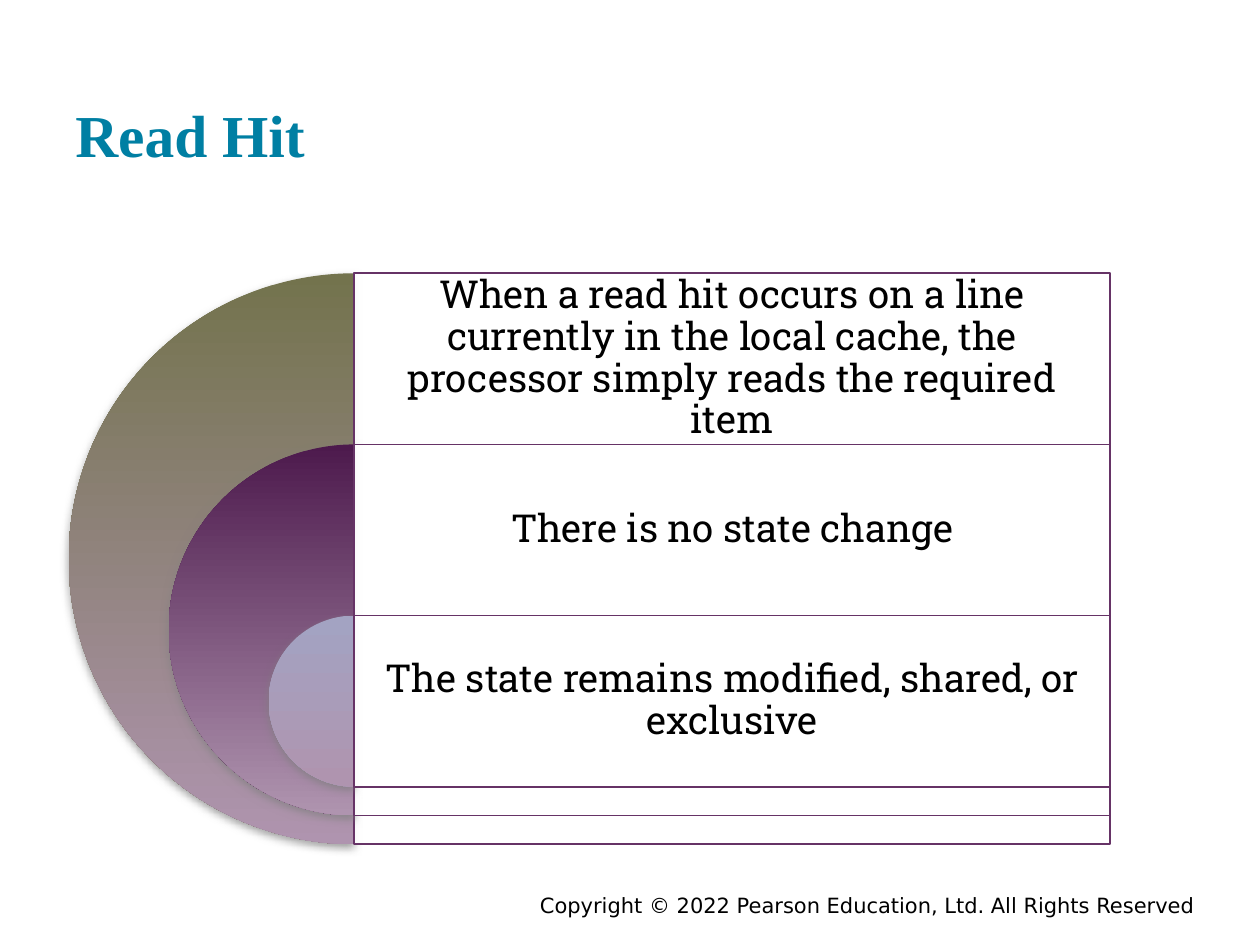
from lxml import etree
from pptx import Presentation
from pptx import util as u
from pptx.dml.color import RGBColor
from pptx.enum import shapes, text
from pptx.oxml.ns import qn


def color(value):
    return RGBColor.from_string(value)


def add_text(parent, frame, words, font, size, ink, align, anchor, inset):
    box = parent.add_textbox(*[u.Cm(length) for length in frame])
    body = box.text_frame
    body.word_wrap = True
    body.vertical_anchor = anchor
    body.margin_left = body.margin_right = u.Cm(inset[0])
    body.margin_top = body.margin_bottom = u.Cm(inset[1])
    para = body.paragraphs[0]
    para.text = words
    para.alignment = align
    para.font.name = font
    para.font.size = u.Pt(size)
    para.font.color.rgb = color(ink)
    return para


deck = Presentation()
deck.slide_width = u.Cm(25.4)
deck.slide_height = u.Cm(19.05)
page = deck.slides.add_slide(deck.slide_layouts[6])

add_text(page.shapes, (4.45, 17.86, 19.89, 0.56),
         "Copyright © 2022 Pearson Education, Ltd. All Rights Reserved",
         "DejaVu Sans", 12, "000000", text.PP_ALIGN.RIGHT, text.MSO_ANCHOR.TOP, (0.25, 0.13))
title = add_text(page.shapes, (1.27, 0.61, 22.86, 3.05), "Read Hit",
                 "Times New Roman", 34, "007FA3", text.PP_ALIGN.LEFT,
                 text.MSO_ANCHOR.BOTTOM, (0.25, 0.25))
title.font.bold = True

levels = [
    ("73734D", "When a read hit occurs on a line currently in the local cache, "
               "the processor simply reads the required item"),
    ("4D1A4D", "There is no state change"),
    ("A3A3C2", "The state remains modified, shared, or exclusive"),
]
center, first_top, row_height, panel_width = 7.14, 5.51, 3.45, 15.24
diagram = page.shapes.add_group_shape().shapes

for index, (top_color, words) in enumerate(levels):
    top = first_top + index * row_height
    diameter = 11.51 - index * 4.03

    pie = diagram.add_shape(shapes.MSO_SHAPE.PIE, u.Cm(center - diameter / 2), u.Cm(top),
                            u.Cm(diameter), u.Cm(diameter))
    pie.adjustments[0] = 54
    pie.adjustments[1] = 162
    pie.line.fill.background()
    pie.fill.gradient()
    pie.fill.gradient_angle = 270
    for stop, shade in zip(pie.fill.gradient_stops, (top_color, "AF94AF")):
        stop.color.rgb = color(shade)
    pie.shadow.inherit = False
    effects = pie._element.spPr.find(qn("a:effectLst"))
    shadow = etree.SubElement(effects, qn("a:outerShdw"), blurRad=str(u.Pt(5)),
                              dist=str(u.Pt(2)), dir="5400000", rotWithShape="0")
    tone = etree.SubElement(shadow, qn("a:srgbClr"), val="808080")
    etree.SubElement(tone, qn("a:alpha"), val="75000")

    panel = diagram.add_shape(shapes.MSO_SHAPE.RECTANGLE, u.Cm(center), u.Cm(top),
                              u.Cm(panel_width), u.Cm(diameter))
    panel.shadow.inherit = False
    panel.fill.solid()
    panel.fill.fore_color.rgb = color("FFFFFF")
    tone = panel._element.spPr.find(qn("a:solidFill")).find(qn("a:srgbClr"))
    etree.SubElement(tone, qn("a:alpha"), val="90000")
    panel.line.color.rgb = color("663366")
    panel.line.width = u.Pt(1)

    para = add_text(diagram, (center, top, panel_width, row_height), words,
                    "Roboto Slab", 22, "000000", text.PP_ALIGN.CENTER,
                    text.MSO_ANCHOR.MIDDLE, (0.23, 0.23))
    para.line_spacing = 0.9
    para.space_after = u.Pt(7.7)

deck.save("out.pptx")
